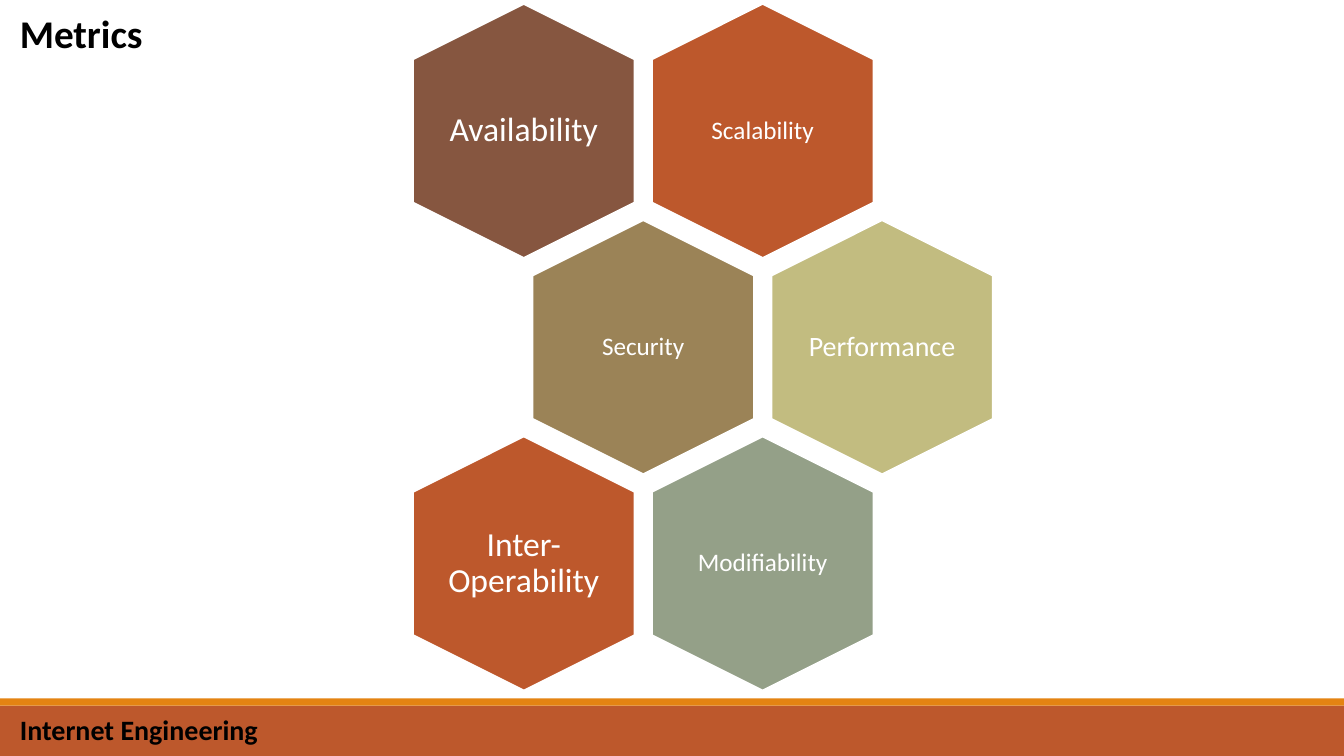
from dataclasses import dataclass

from pptx import Presentation
from pptx.dml.color import RGBColor
from pptx.enum.shapes import MSO_SHAPE
from pptx.enum.text import MSO_ANCHOR, MSO_AUTO_SIZE, PP_ALIGN
from pptx.util import Cm, Pt

RECTANGLE = MSO_SHAPE.RECTANGLE
HEXAGON = MSO_SHAPE.HEXAGON
TOP, MIDDLE = MSO_ANCHOR.TOP, MSO_ANCHOR.MIDDLE
LEFT, CENTER = PP_ALIGN.LEFT, PP_ALIGN.CENTER
FIT_SHAPE, NO_FIT = MSO_AUTO_SIZE.SHAPE_TO_FIT_TEXT, MSO_AUTO_SIZE.NONE


@dataclass(frozen=True)
class Theme:
    font: str = "Calibri"
    white: str = "FFFFFF"
    black: str = "000000"
    rust: str = "BD582C"
    orange: str = "E48312"
    brown: str = "865640"
    tan: str = "9B8357"
    olive: str = "C2BC80"
    sage: str = "94A088"
    title: int = 28
    footer: int = 20
    large: int = 24
    medium: int = 20
    small: int = 18
    outline: float = 1.25


THEME = Theme()
SLIDE_WIDTH, SLIDE_HEIGHT = 33.87, 19.05
FOOTER_HEIGHT, STRIPE_HEIGHT = 1.27, 0.18

METRICS = [
    (0, 1, "Scalability", THEME.rust, THEME.small),
    (0, 0, "Availability", THEME.brown, THEME.large),
    (1, 0, "Security", THEME.tan, THEME.small),
    (1, 1, "Performance", THEME.olive, THEME.medium),
    (2, 1, "Modifiability", THEME.sage, THEME.small),
    (2, 0, "Inter-Operability", THEME.rust, THEME.large),
]


def set_attributes(target, values):
    for name, value in values.items():
        setattr(target, name, value)


def add_filled_shape(shapes, kind, box, color):
    shape = shapes.add_shape(kind, *map(Cm, box))
    shape.shadow.inherit = False
    shape.fill.solid()
    shape.fill.fore_color.rgb = RGBColor.from_string(color)
    shape.line.fill.background()
    return shape


def add_text(shapes, box, text, size, color, frame_format, paragraph_format, bold=False):
    frame = shapes.add_textbox(*map(Cm, box)).text_frame
    set_attributes(frame, frame_format)
    paragraph = frame.paragraphs[0]
    set_attributes(paragraph, paragraph_format)
    run = paragraph.add_run()
    run.text = text
    set_attributes(run.font, {"name": THEME.font, "size": Pt(size), "bold": bold})
    run.font.color.rgb = RGBColor.from_string(color)


def add_heading(shapes, box, text, size):
    frame_format = {"word_wrap": False, "auto_size": FIT_SHAPE, "vertical_anchor": TOP}
    add_text(shapes, box, text, size, THEME.black, frame_format, {"alignment": LEFT}, bold=True)


def add_footer(shapes, box):
    left, top, width, height = box
    add_filled_shape(shapes, RECTANGLE, box, THEME.rust)
    stripe = (left, top - STRIPE_HEIGHT, width, STRIPE_HEIGHT)
    add_filled_shape(shapes, RECTANGLE, stripe, THEME.orange)
    add_heading(shapes, (left + 0.25, top + 0.05, 6.58, 1.11), "Internet Engineering", THEME.footer)


def add_metric(shapes, box, text, color, size):
    left, top, width, height = box
    hexagon = add_filled_shape(shapes, HEXAGON, box, color)
    hexagon.rotation = 90
    hexagon.adjustments[0] = 0.25
    hexagon.adjustments[1] = 1.1547
    hexagon.line.color.rgb = RGBColor.from_string(THEME.white)
    hexagon.line.width = Pt(THEME.outline)

    text_width, text_height = 3.84, 4.42
    text_box = (
        left + (width - text_width) / 2,
        top + (height - text_height) / 2,
        text_width,
        text_height,
    )
    inset = Cm(0.18 if size == THEME.small else 0)
    frame_format = {
        "word_wrap": True,
        "auto_size": NO_FIT,
        "vertical_anchor": MIDDLE,
        "margin_left": inset,
        "margin_right": inset,
        "margin_top": inset,
        "margin_bottom": inset,
    }
    paragraph_format = {"alignment": CENTER, "line_spacing": 0.9}
    add_text(shapes, text_box, text, size, THEME.white, frame_format, paragraph_format)


def add_honeycomb(shapes, origin):
    left, top = origin
    width, height = 6.4, 5.58
    column_step, row_step = 6.02, 5.45
    honeycomb = shapes.add_group_shape()
    for row, column, text, color, size in METRICS:
        shift = column_step / 2 * (row % 2)
        box = (left + column * column_step + shift, top + row * row_step, width, height)
        add_metric(honeycomb.shapes, box, text, color, size)


def build_metrics_slide(presentation):
    shapes = presentation.slides.add_slide(presentation.slide_layouts[6]).shapes
    footer_box = (0, SLIDE_HEIGHT - FOOTER_HEIGHT, SLIDE_WIDTH, FOOTER_HEIGHT)
    add_footer(shapes, footer_box)
    add_honeycomb(shapes, (10, 0.51))
    add_heading(shapes, (0.25, 0.1, 3.66, 1.45), "Metrics", THEME.title)


def main():
    presentation = Presentation()
    set_attributes(
        presentation,
        {"slide_width": Cm(SLIDE_WIDTH), "slide_height": Cm(SLIDE_HEIGHT)},
    )
    build_metrics_slide(presentation)
    presentation.save("out.pptx")


if __name__ == "__main__":
    main()
